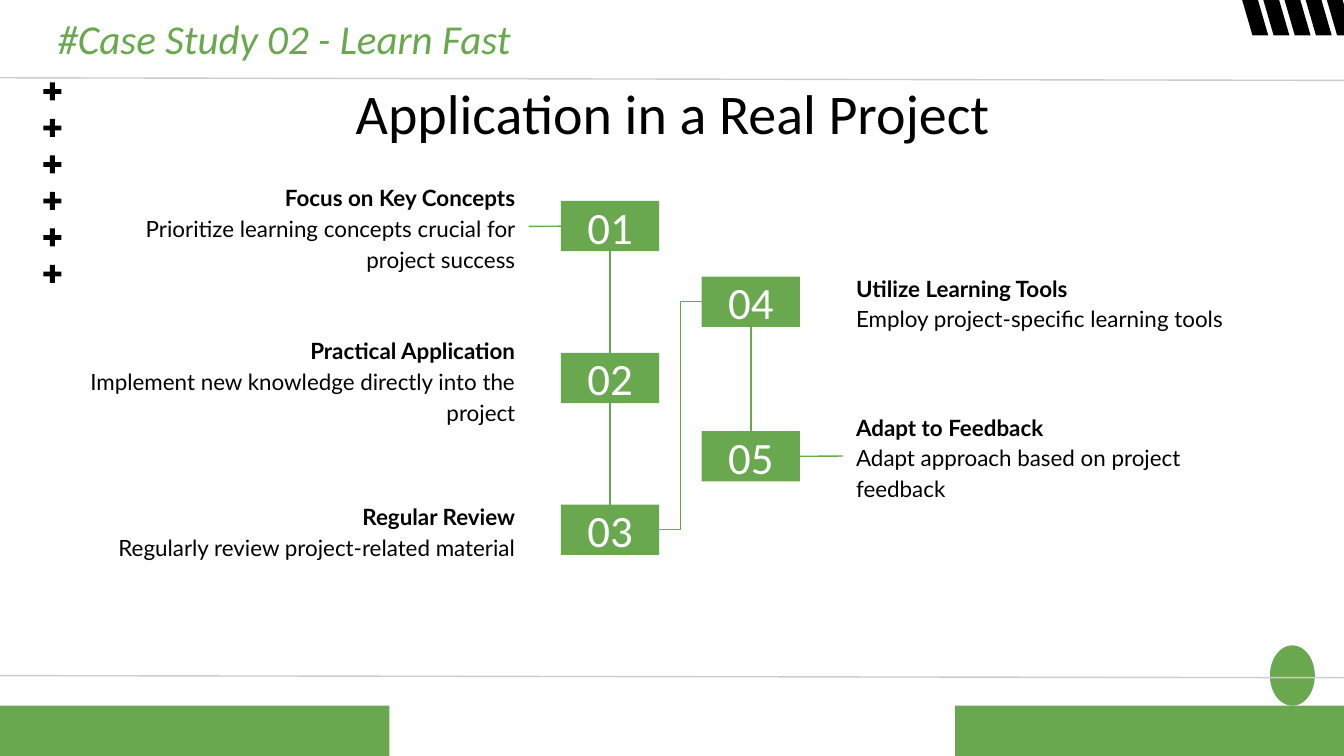
from dataclasses import dataclass

from lxml.etree import SubElement
from pptx import Presentation
from pptx.dml.color import RGBColor
from pptx.enum.shapes import MSO_CONNECTOR as Link, MSO_SHAPE as Preset
from pptx.enum.text import MSO_ANCHOR as Anchor, PP_ALIGN as Align
from pptx.oxml.ns import qn
from pptx.util import Cm, Pt

COLORS = {"green": "6AA850", "black": "000000", "white": "FFFFFF", "rule": "CCCCCC"}
BOTTOM, LEFT, RIGHT, TOP = 2, 1, 3, 0
INSET = Cm(0.25)
BADGE_WIDTH, BADGE_HEIGHT = 1.86, 0.95


@dataclass
class Area:
    left: float
    top: float
    width: float
    height: float

    def lengths(self) -> list:
        return [Cm(n) for n in (self.left, self.top, self.width, self.height)]


@dataclass
class Step:
    number: str
    heading: str
    detail: str
    badge_left: float
    badge_top: float
    words: Area
    align: Align


STEPS = [
    Step("01", "Focus on Key Concepts",
         "Prioritize learning concepts crucial for project success",
         10.6, 3.8, Area(1.35, 3.38, 8.64, 1.8), Align.RIGHT),
    Step("02", "Practical Application",
         "Implement new knowledge directly into the project",
         10.6, 6.67, Area(1.35, 6.27, 8.64, 1.8), Align.RIGHT),
    Step("03", "Regular Review",
         "Regularly review project-related material",
         10.6, 9.54, Area(1.19, 9.12, 8.8, 1.8), Align.RIGHT),
    Step("04", "Utilize Learning Tools",
         "Employ project-specific learning tools",
         13.26, 5.23, Area(15.93, 4.8, 8.31, 1.8), Align.LEFT),
    Step("05", "Adapt to Feedback",
         "Adapt approach based on project feedback",
         13.26, 8.15, Area(15.93, 7.72, 8.31, 1.8), Align.LEFT),
]


def color(name: str) -> RGBColor:
    return RGBColor.from_string(COLORS[name])


def apply_format(target, values: dict) -> None:
    for key, value in values.items():
        setattr(target, key, value)


def add_block(slide, preset: Preset, area: Area, fill: str):
    block = slide.shapes.add_shape(preset, *area.lengths())
    block.shadow.inherit = False
    block.fill.solid()
    block.fill.fore_color.rgb = color(fill)
    block.line.fill.background()
    return block


def write(frame, lines: list, ink: str, align: Align, anchor: Anchor, spacing: float = 1.0) -> None:
    apply_format(frame, {
        "word_wrap": True, "vertical_anchor": anchor,
        "margin_left": INSET, "margin_right": INSET,
        "margin_top": INSET, "margin_bottom": INSET,
    })
    for index, (words, font_values) in enumerate(lines):
        paragraph = frame.add_paragraph() if index else frame.paragraphs[0]
        apply_format(paragraph, {"alignment": align, "line_spacing": spacing})
        run = paragraph.add_run()
        run.text = words
        apply_format(run.font, font_values)
        run.font.color.rgb = color(ink)


def add_words(slide, area: Area, lines: list, ink: str, align: Align,
              anchor: Anchor = Anchor.TOP, spacing: float = 1.0):
    words = slide.shapes.add_textbox(*area.lengths())
    write(words.text_frame, lines, ink, align, anchor, spacing)
    return words


def add_line(slide, ink: str, kind: Link = Link.STRAIGHT, ends: tuple = (0, 0, 0, 0)):
    line = slide.shapes.add_connector(kind, *[Cm(n) for n in ends])
    line.line.color.rgb = color(ink)
    line.line.width = Pt(0.75)
    SubElement(line._element.spPr, qn("a:effectLst"))
    return line


def join(slide, start, start_side: int, end, end_side: int, kind: Link = Link.STRAIGHT) -> None:
    link = add_line(slide, "green", kind)
    link.begin_connect(start, start_side)
    link.end_connect(end, end_side)


def add_decoration(slide) -> None:
    for row in range(6):
        plus = add_block(slide, Preset.MATH_PLUS, Area(0.76, 1.5 + 0.69 * row, 0.46, 0.46), "black")
        plus.adjustments[0] = 0.2
    for column in range(5):
        stripe = add_block(slide, Preset.PARALLELOGRAM,
                           Area(23.39 + 0.4 * column, -0.3, 0.58, 0.97), "black")
        stripe.adjustments[0] = 0.485
        stripe._element.spPr.xfrm.set("flipH", "1")
    for left in (0, 18.05):
        add_block(slide, Preset.RECTANGLE, Area(left, 13.34, 7.36, 0.95), "green")
    add_block(slide, Preset.OVAL, Area(24.0, 12.2, 0.85, 1.14), "green")
    for start, end in ((1.47, 1.52), (12.77, 12.81)):
        add_line(slide, "rule", ends=(-0.1, start, 25.5, end))


def add_steps(slide) -> None:
    badges, texts = {}, {}
    for step in STEPS:
        body = {"name": "Lato", "size": Pt(12)}
        texts[step.number] = add_words(
            slide, step.words,
            [(step.heading, {**body, "bold": True}), (step.detail, body)],
            "black", step.align, Anchor.MIDDLE, 1.15)
        badge = add_block(slide, Preset.RECTANGLE,
                          Area(step.badge_left, step.badge_top, BADGE_WIDTH, BADGE_HEIGHT), "green")
        write(badge.text_frame, [(step.number, {"name": "Calibri", "size": Pt(24)})],
              "white", Align.CENTER, Anchor.MIDDLE)
        badges[step.number] = badge
    for upper, lower in (("01", "02"), ("02", "03"), ("04", "05")):
        join(slide, badges[upper], BOTTOM, badges[lower], TOP)
    join(slide, badges["03"], RIGHT, badges["04"], LEFT, Link.ELBOW)
    join(slide, texts["01"], RIGHT, badges["01"], LEFT)
    join(slide, badges["05"], RIGHT, texts["05"], LEFT)


def main() -> None:
    deck = Presentation()
    apply_format(deck, {"slide_width": Cm(25.4), "slide_height": Cm(14.29)})
    slide = deck.slides.add_slide(deck.slide_layouts[6])
    add_decoration(slide)
    add_words(slide, Area(2.01, 1.24, 21.41, 1.6),
              [("Application in a Real Project", {"name": "Calibri", "size": Pt(30)})],
              "black", Align.CENTER)
    add_steps(slide)
    add_words(slide, Area(0.84, 0, 21.41, 1.6),
              [("#Case Study 02 - Learn Fast", {"name": "Calibri", "size": Pt(22), "italic": True})],
              "green", Align.LEFT)
    deck.save("out.pptx")


if __name__ == "__main__":
    main()
